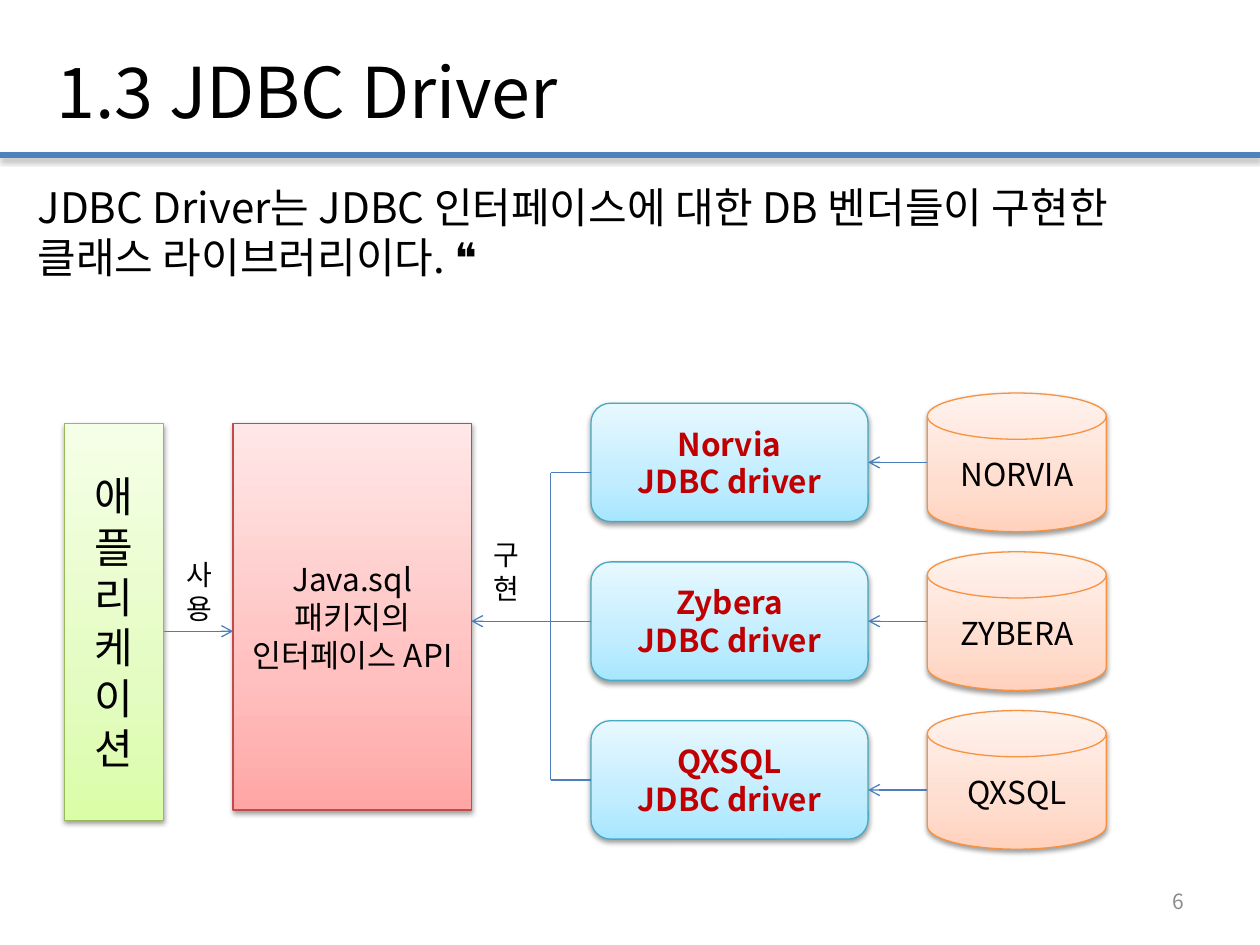
from copy import deepcopy

from lxml import etree
from pptx import Presentation
from pptx.dml.color import RGBColor
from pptx.enum.shapes import MSO_CONNECTOR, MSO_SHAPE
from pptx.enum.text import MSO_ANCHOR, MSO_AUTO_SIZE, PP_ALIGN
from pptx.oxml.ns import qn
from pptx.util import Inches, Pt

FONT = "Noto Sans CJK KR"
BLACK = RGBColor(0x00, 0x00, 0x00)
GRAY = RGBColor(0x8C, 0x8C, 0x8C)
DARK_RED = RGBColor(0xC0, 0x00, 0x00)
RULE_BLUE = RGBColor(0x4F, 0x81, 0xBD)
ARROW_BLUE = RGBColor(0x4B, 0x7E, 0xBC)

# Each theme holds an outline colour and gradient colours from bottom to top.
GREEN = (RGBColor(0x98, 0xB9, 0x55), (RGBColor(0xDA, 0xFD, 0xA7),
         RGBColor(0xE4, 0xFC, 0xC2), RGBColor(0xF5, 0xFF, 0xE7)))
RED = (RGBColor(0xBF, 0x4C, 0x48), (RGBColor(0xFF, 0xA6, 0xA5),
       RGBColor(0xFF, 0xC0, 0xBF), RGBColor(0xFF, 0xE7, 0xE7)))
CYAN = (RGBColor(0x46, 0xAA, 0xC5), (RGBColor(0xA7, 0xE6, 0xFF),
        RGBColor(0xC1, 0xED, 0xFF), RGBColor(0xE7, 0xF8, 0xFF)))
ORANGE = (RGBColor(0xF6, 0x92, 0x40), (RGBColor(0xFF, 0xD2, 0xBD),
          RGBColor(0xFF, 0xDE, 0xD0), RGBColor(0xFF, 0xF2, 0xED)))
GRADIENT_POSITIONS = (0, 0.35, 1)

RECTANGLE = MSO_SHAPE.RECTANGLE
ROUNDED = MSO_SHAPE.ROUNDED_RECTANGLE
DISK = MSO_SHAPE.FLOWCHART_MAGNETIC_DISK
STRAIGHT = MSO_CONNECTOR.STRAIGHT
LEFT, CENTER, RIGHT = PP_ALIGN.LEFT, PP_ALIGN.CENTER, PP_ALIGN.RIGHT
TOP, MIDDLE = MSO_ANCHOR.TOP, MSO_ANCHOR.MIDDLE
GROW = MSO_AUTO_SIZE.SHAPE_TO_FIT_TEXT

VENDORS = (("Norvia", "NORVIA"), ("Zybera", "ZYBERA"), ("QXSQL", "QXSQL"))
ROW_PITCH = 1.26


def write_text(shape, text, size=18, color=BLACK, bold=False, align=LEFT, anchor=TOP):
    """Fill a shape with one formatted paragraph per line of text."""
    frame = shape.text_frame
    frame.word_wrap = True
    frame.vertical_anchor = anchor
    frame.text = text
    for paragraph in frame.paragraphs:
        paragraph.alignment = align
        for run in paragraph.runs:
            run.font.size = Pt(size)
            run.font.bold = bold
            run.font.name = FONT
            run.font.color.rgb = color
            east_asian = etree.SubElement(run.font._element, qn("a:ea"))
            east_asian.set("typeface", FONT)


def add_shadow(shape_properties, opacity, distance):
    """Put a soft downward shadow into the effect list."""
    effects = shape_properties.find(qn("a:effectLst"))
    shadow = etree.SubElement(effects, qn("a:outerShdw"), blurRad=str(Pt(3.1)),
                              dist=str(Pt(distance)), dir="5400000", rotWithShape="0")
    color = etree.SubElement(shadow, qn("a:srgbClr"), val=str(BLACK))
    etree.SubElement(color, qn("a:alpha"), val=str(opacity * 1000))


def add_label(slide, box, text, grow=False, **text_format):
    """Add a text box."""
    label = slide.shapes.add_textbox(*map(Inches, box))
    write_text(label, text, **text_format)
    if grow:
        label.text_frame.auto_size = GROW


def add_block(slide, kind, box, text, theme, **text_format):
    """Add a shadowed gradient shape with centred text."""
    outline, colors = theme
    shape = slide.shapes.add_shape(kind, *map(Inches, box))
    shape.fill.gradient()
    shape.fill.gradient_angle = 90
    stop_list = shape._element.spPr.find(".//" + qn("a:gsLst"))
    stop_list.append(deepcopy(stop_list[-1]))
    for stop, color, position in zip(shape.fill.gradient_stops, colors, GRADIENT_POSITIONS):
        stop.color.rgb = color
        stop.position = position
    shape.line.color.rgb = outline
    shape.line.width = Pt(0.75)
    shape.shadow.inherit = False
    add_shadow(shape._element.spPr, opacity=38, distance=1.6)
    write_text(shape, text, align=CENTER, anchor=MIDDLE, **text_format)


def add_line(slide, start, end, color=ARROW_BLUE, width=0.75, arrow=False):
    """Add a straight connector, with an open arrowhead at its end if asked."""
    line = slide.shapes.add_connector(STRAIGHT, *map(Inches, start + end))
    line.line.color.rgb = color
    line.line.width = Pt(width)
    if arrow:
        etree.SubElement(line.line._get_or_add_ln(), qn("a:tailEnd"), type="arrow")
    etree.SubElement(line._element.spPr, qn("a:effectLst"))
    return line


def add_header(slide, left, top, width, height):
    """Place the title and the shadowed rule below it."""
    title = slide.shapes.title
    title.left, title.top = Inches(left + 0.35), Inches(top + 0.29)
    title.width, title.height = Inches(6.46), Inches(0.85)
    write_text(title, "1.3 JDBC Driver", size=40, anchor=MIDDLE)
    bottom = top + height
    rule = add_line(slide, (left, bottom), (left + width, bottom), RULE_BLUE, 3)
    add_shadow(rule._element.spPr, opacity=35, distance=1.8)


def add_interface(slide, left, top):
    """Place the application, the interface package and the arrow between them."""
    package_left = left + 1.34
    add_block(slide, RECTANGLE, (left, top, 0.79, 3.15), "애플리케이션", GREEN, size=24)
    add_block(slide, RECTANGLE, (package_left, top, 1.89, 3.07),
              "Java.sql 패키지의 인터페이스 API", RED)
    arrow_y = top + 1.65
    add_line(slide, (left + 0.79, arrow_y), (package_left, arrow_y), arrow=True)
    add_label(slide, (left + 0.87, top + 1.02, 0.31, 0.64), "사용", size=16, grow=True)


def add_drivers(slide, left, top):
    """Place one row per vendor: a driver, its database and an arrow."""
    disk_left = left + 2.67
    for row, (driver, database) in enumerate(VENDORS):
        row_top = top + row * ROW_PITCH
        add_block(slide, DISK, (disk_left, row_top, 1.42, 1.1), database, ORANGE)
        add_block(slide, ROUNDED, (left, row_top + 0.08, 2.2, 0.94),
                  f"{driver}\nJDBC driver", CYAN, color=DARK_RED, bold=True)
        arrow_y = row_top + (0.63 if row == 2 else 0.55)
        add_line(slide, (disk_left, arrow_y), (left + 2.2, arrow_y), arrow=True)


def add_bracket(slide, left, top, width):
    """Join the drivers with a bracket whose arrow meets the interface package."""
    trunk_x, right = left + 0.63, left + width
    branches = (top, top + 1.18, top + 2.44)
    add_line(slide, (right - 0.16, branches[1]), (left, branches[1]), arrow=True)
    add_line(slide, (trunk_x, branches[0]), (trunk_x, branches[2]))
    for branch_y in branches:
        add_line(slide, (trunk_x, branch_y), (right, branch_y))
    add_label(slide, (left + 0.08, top + 0.47, 0.31, 0.64), "구현", size=16, grow=True)


def main():
    """Build and save the slide."""
    presentation = Presentation()
    presentation.slide_width, presentation.slide_height = Inches(10), Inches(7.5)
    slide = presentation.slides.add_slide(presentation.slide_layouts.get_by_name("Title Only"))
    add_header(slide, 0, 0, 10, 1.23)
    add_label(slide, (0.2, 1.39, 8.98, 0.91),
              "JDBC Driver는 JDBC 인터페이스에 대한 DB 벤더들이 "
              "구현한 클래스 라이브러리이다. ❝", size=24, grow=True)
    add_interface(slide, 0.51, 3.36)
    add_drivers(slide, 4.69, 3.12)
    add_bracket(slide, 3.74, 3.75, 0.95)
    add_label(slide, (7.17, 6.95, 2.33, 0.4), "6", size=12, color=GRAY,
              align=RIGHT, anchor=MIDDLE)
    presentation.save("out.pptx")


main()
